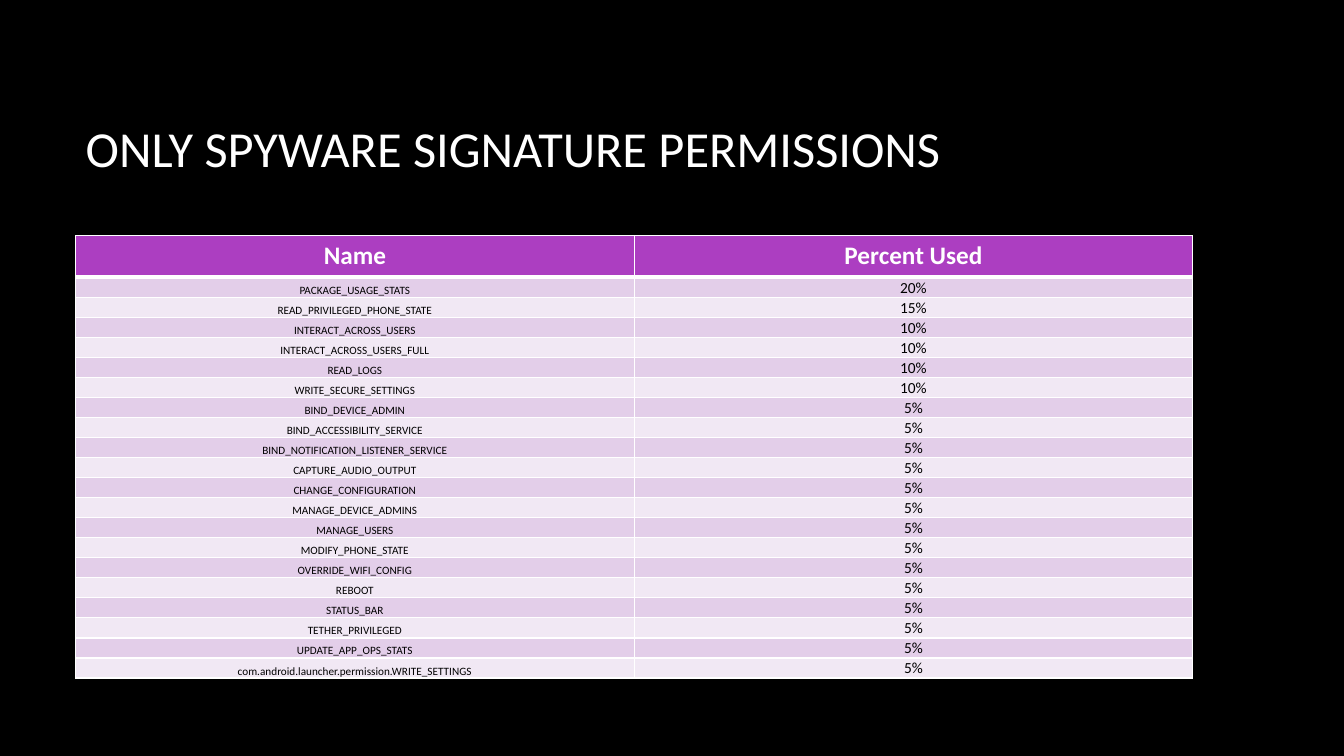
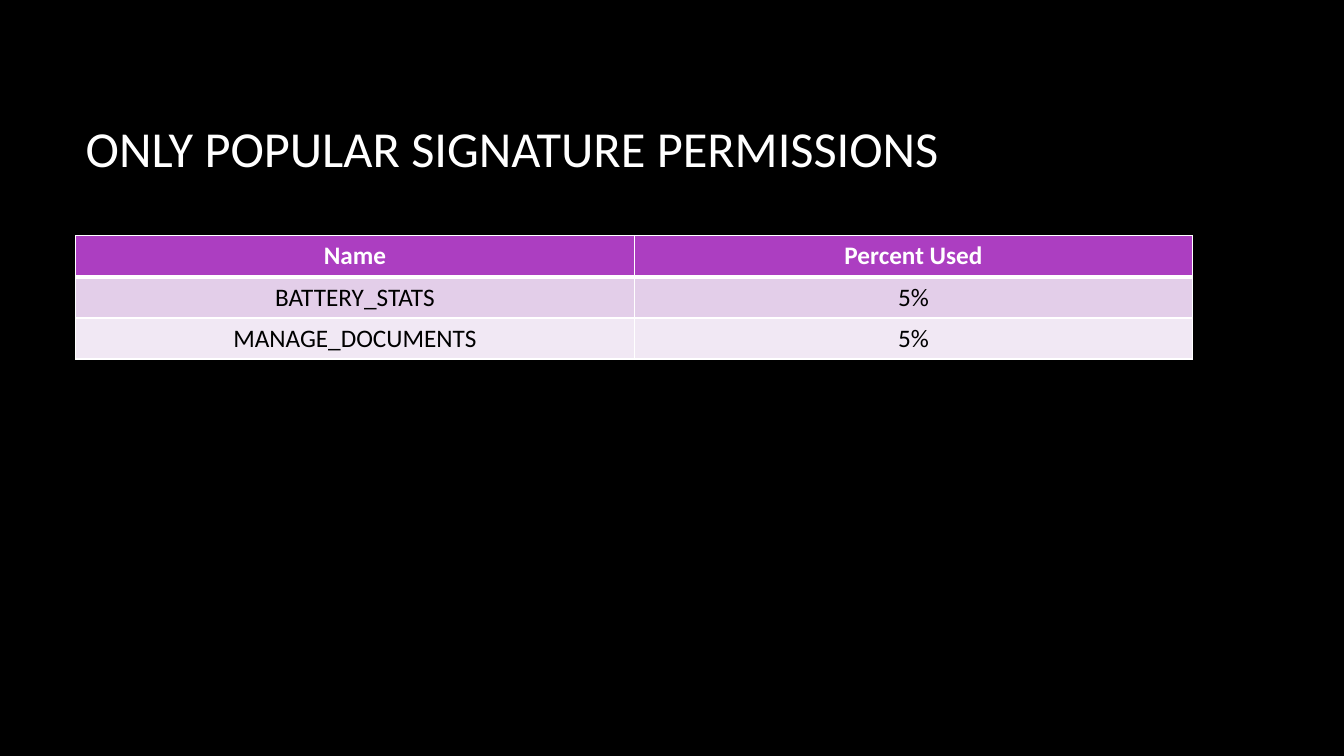
from lxml import etree
from pptx import Presentation
from pptx.dml.color import RGBColor
from pptx.enum.text import MSO_ANCHOR, PP_ALIGN
from pptx.oxml.ns import qn
from pptx.util import Inches, Pt

CENTER, LEFT = PP_ALIGN.CENTER, PP_ALIGN.LEFT
TOP, MIDDLE, BOTTOM = MSO_ANCHOR.TOP, MSO_ANCHOR.MIDDLE, MSO_ANCHOR.BOTTOM

# Content
HEADINGS = ("Name", "Percent Used")
SPYWARE_PERMISSIONS = [
    ("PACKAGE_USAGE_STATS", "20%"),
    ("READ_PRIVILEGED_PHONE_STATE", "15%"),
    ("INTERACT_ACROSS_USERS", "10%"),
    ("INTERACT_ACROSS_USERS_FULL", "10%"),
    ("READ_LOGS", "10%"),
    ("WRITE_SECURE_SETTINGS", "10%"),
    ("BIND_DEVICE_ADMIN", "5%"),
    ("BIND_ACCESSIBILITY_SERVICE", "5%"),
    ("BIND_NOTIFICATION_LISTENER_SERVICE", "5%"),
    ("CAPTURE_AUDIO_OUTPUT", "5%"),
    ("CHANGE_CONFIGURATION", "5%"),
    ("MANAGE_DEVICE_ADMINS", "5%"),
    ("MANAGE_USERS", "5%"),
    ("MODIFY_PHONE_STATE", "5%"),
    ("OVERRIDE_WIFI_CONFIG", "5%"),
    ("REBOOT", "5%"),
    ("STATUS_BAR", "5%"),
    ("TETHER_PRIVILEGED", "5%"),
    ("UPDATE_APP_OPS_STATS", "5%"),
    ("com.android.launcher.permission.WRITE_SETTINGS", "5%"),
]
POPULAR_PERMISSIONS = [("BATTERY_STATS", "5%"), ("MANAGE_DOCUMENTS", "5%")]

# Body styles: text size per column, anchor, margins (left, top, right, bottom)
COMPACT = {"sizes": (8, 11), "anchor": BOTTOM, "margins": (0.01, 0.01, 0.01, 0)}
REGULAR = {"sizes": (18, 18), "anchor": TOP, "margins": (0.1, 0.05, 0.1, 0.05)}

SLIDES = [
    ("ONLY SPYWARE SIGNATURE PERMISSIONS", SPYWARE_PERMISSIONS, COMPACT, 4.28),
    ("ONLY POPULAR SIGNATURE PERMISSIONS", POPULAR_PERMISSIONS, REGULAR, 1.22),
]

# Shared look
FONT = "Calibri"
BLACK, WHITE, PURPLE = "000000", "FFFFFF", "AC3EC1"
BANDS = ("E3CEE9", "F1E8F4")
MARGIN_LEFT, CONTENT_WIDTH = 0.75, 11.08
TITLE_TOP, TITLE_HEIGHT = 0.67, 1.59
TABLE_TOP, HEADER_HEIGHT = 2.34, 0.41
THIN, THICK = 1, 3


def fill_with(fill, color):
    fill.solid()
    fill.fore_color.rgb = RGBColor.from_string(color)


def style_text(paragraph, size, color, align, bold=False):
    paragraph.alignment = align
    font = paragraph.font
    font.name, font.size, font.bold = FONT, Pt(size), bold
    font.color.rgb = RGBColor.from_string(color)


def add_borders(cell, top, bottom):
    properties = cell._tc.get_or_add_tcPr()
    for side, width in (("L", THIN), ("R", THIN), ("T", top), ("B", bottom)):
        line = etree.SubElement(properties, qn(f"a:ln{side}"), w=str(Pt(width)))
        solid = etree.SubElement(line, qn("a:solidFill"))
        etree.SubElement(solid, qn("a:srgbClr"), val=WHITE)


def add_title(slide, text):
    title = slide.shapes.title
    title.left, title.top = Inches(MARGIN_LEFT), Inches(TITLE_TOP)
    title.width, title.height = Inches(CONTENT_WIDTH), Inches(TITLE_HEIGHT)
    title.text_frame.text = text
    title.text_frame.vertical_anchor = MIDDLE
    style_text(title.text_frame.paragraphs[0], 36, WHITE, LEFT)


def add_permission_table(slide, permissions, body_style, height):
    rows = [HEADINGS, *permissions]
    table = slide.shapes.add_table(
        len(rows), len(HEADINGS), Inches(MARGIN_LEFT), Inches(TABLE_TOP),
        Inches(CONTENT_WIDTH), Inches(height)).table
    body_height = (height - HEADER_HEIGHT) / len(permissions)

    for r, values in enumerate(rows):
        header = r == 0
        style = REGULAR if header else body_style
        table.rows[r].height = Inches(HEADER_HEIGHT if header else body_height)
        for c, value in enumerate(values):
            cell = table.cell(r, c)
            cell.text = value
            cell.vertical_anchor = style["anchor"]
            (cell.margin_left, cell.margin_top, cell.margin_right,
             cell.margin_bottom) = map(Inches, style["margins"])
            # Borders come before the fill in the cell properties
            add_borders(cell, THICK if r == 1 else THIN, THICK if header else THIN)
            fill_with(cell.fill, PURPLE if header else BANDS[(r - 1) % 2])
            style_text(cell.text_frame.paragraphs[0], style["sizes"][c],
                       WHITE if header else BLACK, CENTER, bold=header)


def main():
    prs = Presentation()
    prs.slide_width, prs.slide_height = Inches(13.33), Inches(7.5)
    fill_with(prs.slide_master.background.fill, BLACK)
    title_only = prs.slide_layouts[5]
    for title, permissions, body_style, height in SLIDES:
        slide = prs.slides.add_slide(title_only)
        add_title(slide, title)
        add_permission_table(slide, permissions, body_style, height)
    prs.save("out.pptx")


if __name__ == "__main__":
    main()
